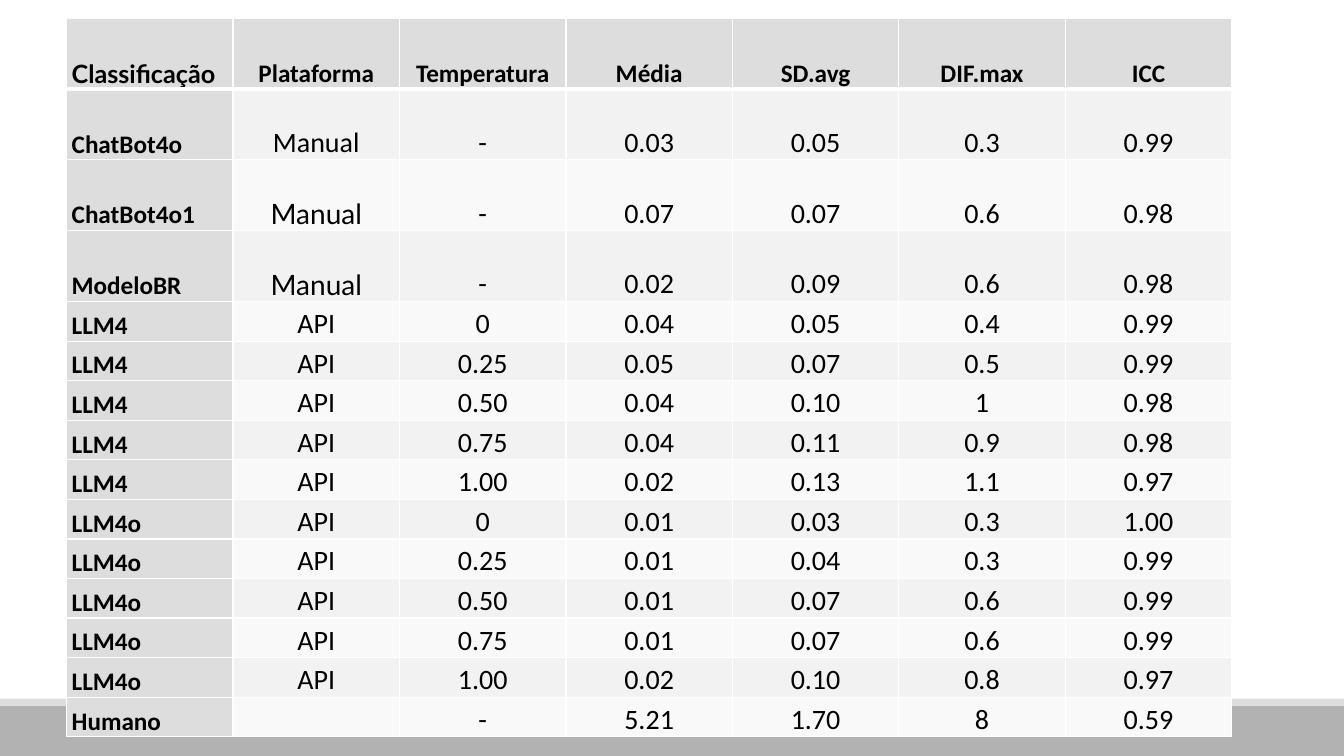
from dataclasses import dataclass

from lxml.etree import SubElement
from pptx import Presentation
from pptx.dml.color import RGBColor as Rgb
from pptx.enum.shapes import MSO_SHAPE as Preset
from pptx.enum.text import MSO_ANCHOR as Anchor, PP_ALIGN as Align
from pptx.oxml.ns import qn
from pptx.slide import Slide
from pptx.table import _Cell as Cell
from pptx.util import Pt


@dataclass(frozen=True)
class Theme:
    footer: str = "B2B2B2"
    grey: str = "DDDDDD"
    odd_row: str = "F2F2F2"
    even_row: str = "F9F9F9"
    border: str = "FFFFFF"
    text: str = "000000"
    font: str = "Calibri"
    accent_font: str = "Lato"
    label_size: float = 18
    value_size: float = 20
    thin: float = 1
    thick: float = 3


@dataclass(frozen=True)
class Band:
    top: float
    height: float
    color: str


@dataclass(frozen=True)
class CellStyle:
    fill: str
    font: str
    size: float
    bold: bool
    align: Align
    top_border: float
    bottom_border: float


THEME = Theme()
SLIDE_WIDTH, SLIDE_HEIGHT = 960, 540
TABLE_LEFT, TABLE_TOP = 47.6, 13
COLUMN_WIDTH = 118.9
TALL_ROWS, TALL_HEIGHT, ROW_HEIGHT = 4, 50.6, 28.27
SIDE_MARGIN = 3.6

FOOTER_BANDS = [Band(504, 36, THEME.footer), Band(499, 5, THEME.grey)]

ROWS = [
    ("Classificação", "Plataforma", "Temperatura", "Média", "SD.avg", "DIF.max", "ICC"),
    ("ChatBot4o", "Manual", "-", "0.03", "0.05", "0.3", "0.99"),
    ("ChatBot4o1", "Manual", "-", "0.07", "0.07", "0.6", "0.98"),
    ("ModeloBR", "Manual", "-", "0.02", "0.09", "0.6", "0.98"),
    ("LLM4", "API", "0", "0.04", "0.05", "0.4", "0.99"),
    ("LLM4", "API", "0.25", "0.05", "0.07", "0.5", "0.99"),
    ("LLM4", "API", "0.50", "0.04", "0.10", "1", "0.98"),
    ("LLM4", "API", "0.75", "0.04", "0.11", "0.9", "0.98"),
    ("LLM4", "API", "1.00", "0.02", "0.13", "1.1", "0.97"),
    ("LLM4o", "API", "0", "0.01", "0.03", "0.3", "1.00"),
    ("LLM4o", "API", "0.25", "0.01", "0.04", "0.3", "0.99"),
    ("LLM4o", "API", "0.50", "0.01", "0.07", "0.6", "0.99"),
    ("LLM4o", "API", "0.75", "0.01", "0.07", "0.6", "0.99"),
    ("LLM4o", "API", "1.00", "0.02", "0.10", "0.8", "0.97"),
    ("Humano", "", "-", "5.21", "1.70", "8", "0.59"),
]
ACCENT_CELLS = {(0, 0), (2, 1), (3, 1)}


def draw_band(slide: Slide, band: Band) -> None:
    shape = slide.shapes.add_shape(
        Preset.RECTANGLE, Pt(0), Pt(band.top), Pt(SLIDE_WIDTH), Pt(band.height))
    shape.shadow.inherit = False
    shape.fill.solid()
    shape.fill.fore_color.rgb = Rgb.from_string(band.color)
    shape.line.fill.background()


def style_for(row: int, column: int) -> CellStyle:
    heading = row == 0 or column == 0
    band = THEME.odd_row if row % 2 else THEME.even_row
    return CellStyle(
        fill=THEME.grey if heading else band,
        font=THEME.accent_font if (row, column) in ACCENT_CELLS else THEME.font,
        size=THEME.label_size if heading else THEME.value_size,
        bold=heading,
        align=Align.CENTER if column else Align.LEFT,
        top_border=THEME.thick if row == 1 else THEME.thin,
        bottom_border=THEME.thick if row == 0 else THEME.thin,
    )


def set_borders(cell: Cell, style: CellStyle) -> None:
    properties = cell._tc.get_or_add_tcPr()
    widths = {"a:lnL": THEME.thin, "a:lnR": THEME.thin,
              "a:lnT": style.top_border, "a:lnB": style.bottom_border}
    for tag, width in widths.items():
        line = SubElement(properties, qn(tag), w=str(Pt(width)))
        fill = SubElement(line, qn("a:solidFill"))
        SubElement(fill, qn("a:srgbClr"), val=THEME.border)


def draw_cell(cell: Cell, text: str, style: CellStyle) -> None:
    set_borders(cell, style)
    cell.fill.solid()
    cell.fill.fore_color.rgb = Rgb.from_string(style.fill)
    cell.vertical_anchor = Anchor.BOTTOM
    cell.margin_left = cell.margin_right = Pt(SIDE_MARGIN)
    cell.margin_top = cell.margin_bottom = Pt(0)
    if not text:
        return
    paragraph = cell.text_frame.paragraphs[0]
    paragraph.alignment = style.align
    paragraph.line_spacing = 1.07
    paragraph.space_after = Pt(8)
    run = paragraph.add_run()
    run.text = text
    run.font.name = style.font
    run.font.size = Pt(style.size)
    run.font.bold = style.bold
    run.font.color.rgb = Rgb.from_string(THEME.text)


def draw_results(slide: Slide) -> None:
    columns = len(ROWS[0])
    heights = [TALL_HEIGHT if row < TALL_ROWS else ROW_HEIGHT for row in range(len(ROWS))]
    table = slide.shapes.add_table(
        len(ROWS), columns, Pt(TABLE_LEFT), Pt(TABLE_TOP),
        Pt(COLUMN_WIDTH * columns), Pt(sum(heights))).table
    table.horz_banding = False
    table.first_row = False
    for column in table.columns:
        column.width = Pt(COLUMN_WIDTH)
    for row, (values, height) in enumerate(zip(ROWS, heights)):
        table.rows[row].height = Pt(height)
        for column, text in enumerate(values):
            draw_cell(table.cell(row, column), text, style_for(row, column))


def main() -> None:
    presentation = Presentation()
    presentation.slide_width = Pt(SLIDE_WIDTH)
    presentation.slide_height = Pt(SLIDE_HEIGHT)
    slide = presentation.slides.add_slide(presentation.slide_layouts[6])

    # Footer bands behind the table
    for band in FOOTER_BANDS:
        draw_band(slide, band)

    # Results table
    draw_results(slide)

    presentation.save("out.pptx")


if __name__ == "__main__":
    main()
